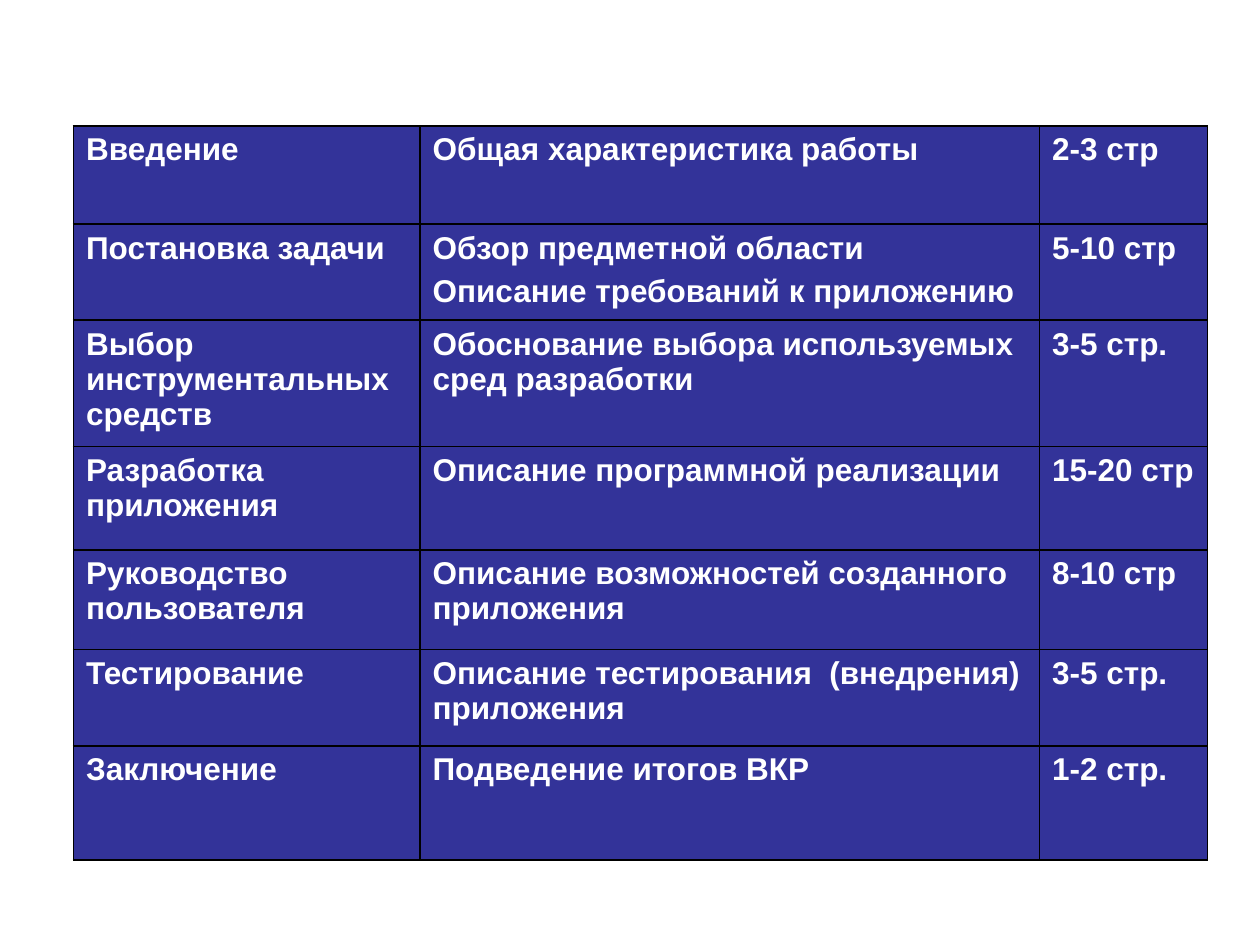
from lxml.etree import SubElement
from pptx import Presentation
from pptx.dml.color import RGBColor
from pptx.oxml.ns import qn
from pptx.util import Pt

COLS = [198, 354, 96]
ROWS = [
    (56.2, "Введение", "Общая характеристика работы", "2-3 стр"),
    (54.8, "Постановка задачи",
     "Обзор предметной области\nОписание требований к приложению", "5-10 стр"),
    (72.2, "Выбор инструментальных средств",
     "Обоснование выбора используемых сред разработки", "3-5 стр."),
    (59, "Разработка приложения", "Описание программной реализации", "15-20 стр"),
    (56.9, "Руководство пользователя",
     "Описание возможностей созданного приложения", "8-10 стр"),
    (55.2, "Тестирование",
     "Описание тестирования  (внедрения) приложения", "3-5 стр."),
    (65.1, "Заключение", "Подведение итогов ВКР", "1-2 стр."),
]


def paint(fill, tone):
    """Give a fill one solid colour."""
    fill.solid()
    fill.fore_color.rgb = RGBColor.from_string(tone)


def add_edges(cell, tone, width):
    """Draw the four borders of a cell."""
    props = cell._tc.get_or_add_tcPr()
    for side in ("lnL", "lnR", "lnT", "lnB"):
        line = SubElement(props, qn(f"a:{side}"), w=str(Pt(width)))
        fill = SubElement(line, qn("a:solidFill"))
        SubElement(fill, qn("a:srgbClr"), val=tone)


def fill_cell(cell, text):
    """Write and format one table cell."""
    add_edges(cell, "000000", 1.08)
    paint(cell.fill, "333399")
    cell.margin_left = cell.margin_right = Pt(7.2)
    cell.margin_top = cell.margin_bottom = Pt(3.6)
    cell.text_frame.text = text
    for rank, para in enumerate(cell.text_frame.paragraphs):
        if rank:
            para.space_before = Pt(4.5)
        for run in para.runs:
            run.font.name = "Arial"
            run.font.size = Pt(18)
            run.font.bold = True
            paint(run.font.fill, "FFFFFF")


def add_plan(slide, left, top):
    """Add the table of thesis chapters."""
    high = sum(row[0] for row in ROWS)
    table = slide.shapes.add_table(
        len(ROWS), len(COLS), Pt(left), Pt(top), Pt(sum(COLS)), Pt(high)
    ).table
    table.first_row = table.horz_banding = False
    for col, width in zip(table.columns, COLS):
        col.width = Pt(width)
    for row, (height, *texts) in zip(table.rows, ROWS):
        row.height = Pt(height)
        for cell, text in zip(row.cells, texts):
            fill_cell(cell, text)


def main():
    """Build and save the slide."""
    deck = Presentation()
    deck.slide_width, deck.slide_height = Pt(720), Pt(540)
    slide = deck.slides.add_slide(deck.slide_layouts[6])
    paint(slide.background.fill, "FFFFFF")
    add_plan(slide, 42, 72)
    deck.save("out.pptx")


if __name__ == "__main__":
    main()
